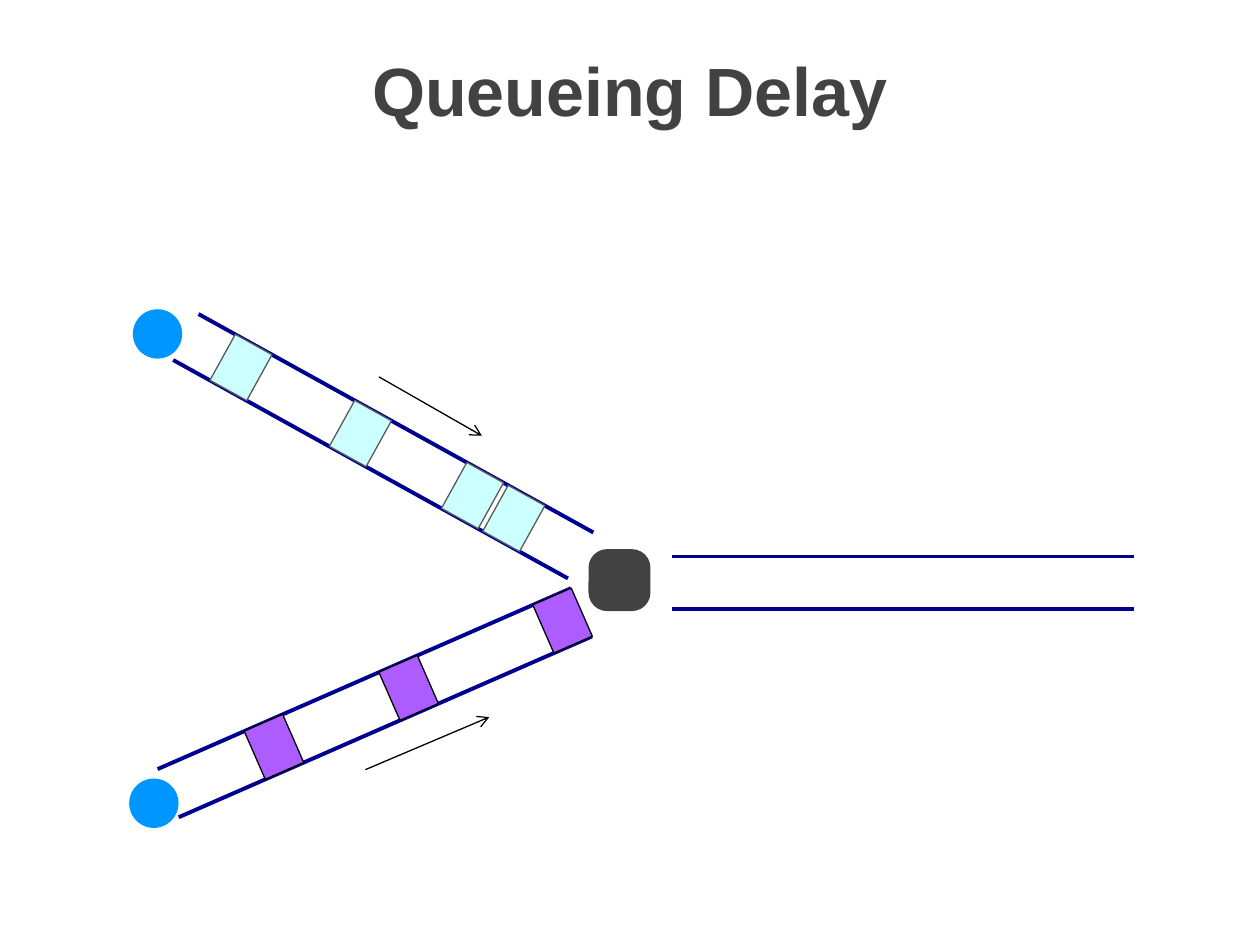
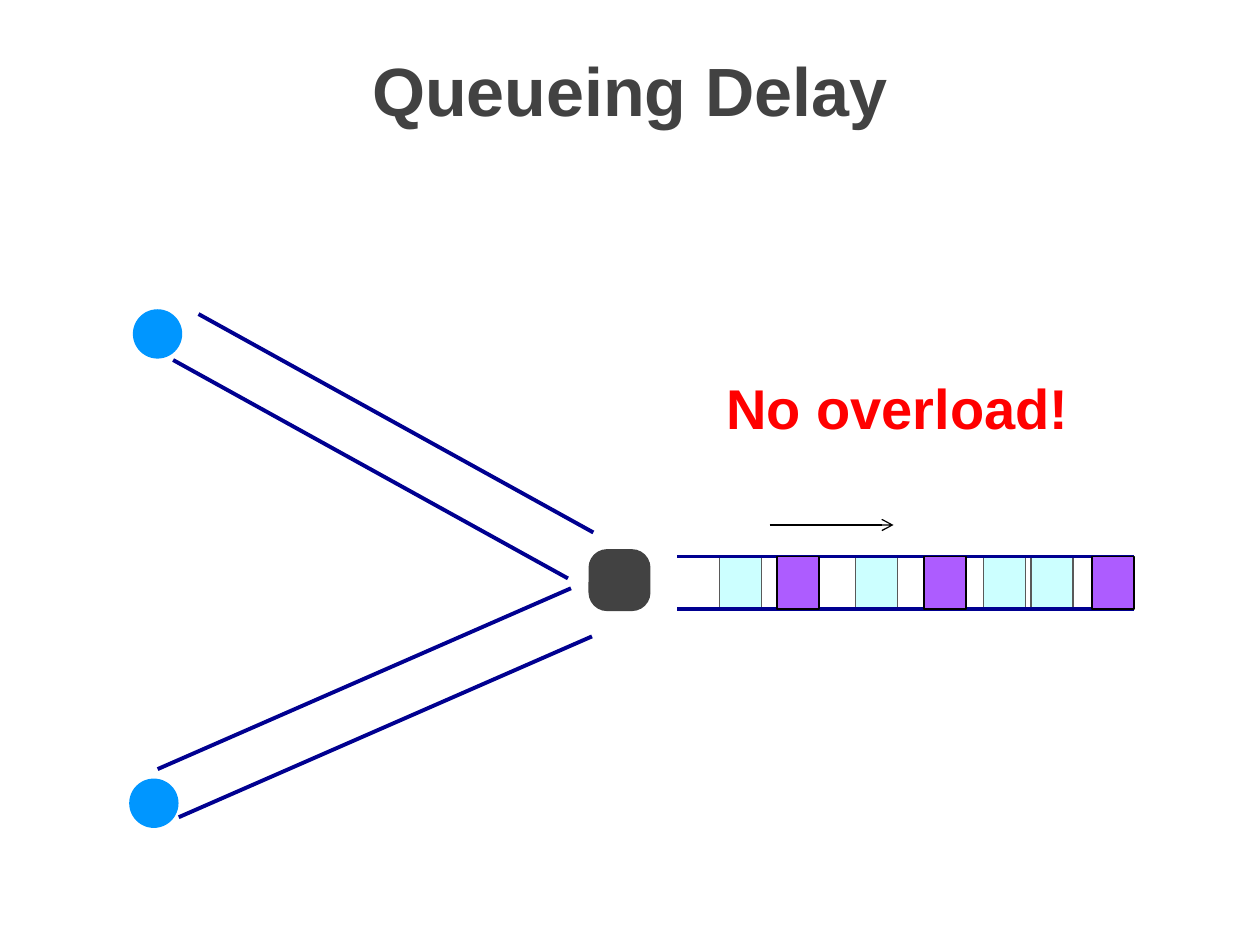
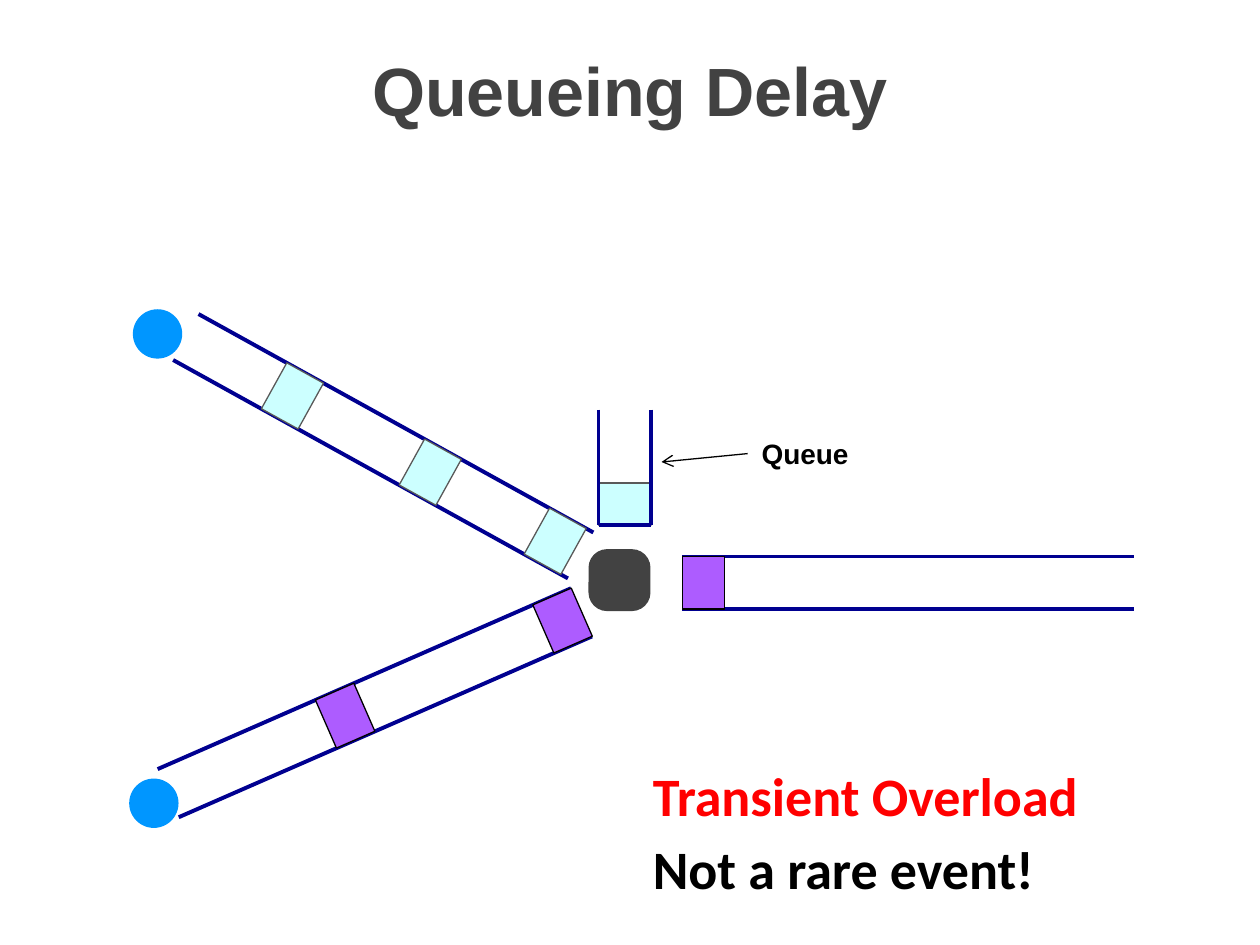
from math import atan2, cos, degrees, hypot, sin

from lxml import etree
from pptx import Presentation
from pptx import util as u
from pptx.dml.color import RGBColor
from pptx.enum import shapes, text
from pptx.oxml.ns import qn

NAVY = RGBColor(0x00, 0x00, 0x90)
BLUE = RGBColor(0x00, 0x96, 0xFF)
AQUA = RGBColor(0xCC, 0xFF, 0xFF)
PLUM = RGBColor(0xAD, 0x5C, 0xFF)
SLATE = RGBColor(0x42, 0x42, 0x42)
GRAY = RGBColor(0x59, 0x59, 0x59)
BLACK = RGBColor(0x00, 0x00, 0x00)
RED = RGBColor(0xFF, 0x00, 0x00)

COLS = 120
UPPER = (17.7, 32.1), (55.3, 52.9)
LOWER = (16.02, 75.54), (55.38, 58.32)
EXIT = (65, 55.5), (108, 55.5)
QUEUE = (59.5, 39), (59.5, 50)
AQUAS = 6, 19, 31.2, 35.7
PLUMS = 11, 25, 41


class Deck:
    """Draw network links and packets on a grid of 120 columns by 90 rows."""

    def __init__(self):
        self.prs = Presentation()
        self.prs.slide_width, self.prs.slide_height = u.Inches(10), u.Inches(7.5)
        self.cell = self.prs.slide_width / COLS

    def size(self, *cells):
        return [round(n * self.cell) for n in cells]

    def begin(self, title):
        self.slide = self.prs.slides.add_slide(self.prs.slide_layouts[5])
        self.items = self.slide.shapes
        box = self.items.title
        box.left, box.top, box.width, box.height = self.size(0, 1.6, COLS, 11.4)
        self.word(box.text_frame, title, 39, SLATE, align=text.PP_ALIGN.CENTER)
        box.text_frame.vertical_anchor = text.MSO_ANCHOR.BOTTOM
        box.text_frame.auto_size = text.MSO_AUTO_SIZE.NONE

    def word(self, frame, words, size, color, font="Arial", align=text.PP_ALIGN.LEFT):
        para = frame.paragraphs[0]
        para.alignment = align
        run = para.add_run()
        run.text = words
        run.font.name, run.font.size, run.font.bold = font, u.Pt(size), True
        run.font.color.rgb = color

    def label(self, spot, words, size, color, wrap=True, **style):
        box = self.items.add_textbox(*self.size(*spot))
        box.text_frame.word_wrap = wrap
        self.word(box.text_frame, words, size, color, **style)

    def line(self, start, end, color=NAVY, width=2.25):
        item = self.items.add_connector(
            shapes.MSO_CONNECTOR.STRAIGHT, *self.size(*start, *end))
        item.line.color.rgb, item.line.width = color, u.Pt(width)
        etree.SubElement(item.element.spPr, qn("a:effectLst"))
        return item

    def arrow(self, start, end):
        item = self.line(start, end, BLACK, 0.75)
        etree.SubElement(item.element.spPr.find(qn("a:ln")), qn("a:tailEnd"), type="arrow")

    def shape(self, kind, mid, wide, high, fill, edge=None):
        x, y = mid
        item = self.items.add_shape(
            kind, *self.size(x - wide / 2, y - high / 2, wide, high))
        item.shadow.inherit = False
        item.fill.solid()
        item.fill.fore_color.rgb = fill
        if edge is None:
            item.line.fill.background()
        else:
            item.line.color.rgb, item.line.width = edge, u.Pt(0.75)
        return item

    def rails(self, lane, shift=0):
        (ax, ay), (bx, by) = lane
        turn = atan2(by - ay, bx - ax)
        for side in (-2.5, 2.5):
            dx, dy = shift - side * sin(turn), side * cos(turn)
            self.line((ax + dx, ay + dy), (bx + dx, by + dy))

    def packs(self, lane, steps, fill, shift=0):
        (ax, ay), (bx, by) = lane
        full = hypot(bx - ax, by - ay)
        edge = GRAY if fill == AQUA else BLACK
        for step in steps:
            part = step / full
            mid = ax + shift + part * (bx - ax), ay + part * (by - ay)
            item = self.shape(shapes.MSO_SHAPE.RECTANGLE, mid, 4, 5, fill, edge)
            item.rotation = degrees(atan2(by - ay, bx - ax))

    def nodes(self):
        for mid in ((15, 31.8), (14.65, 76.5)):
            self.shape(shapes.MSO_SHAPE.OVAL, mid, 4.7, 4.7, BLUE)
        hub = self.shape(
            shapes.MSO_SHAPE.ROUNDED_RECTANGLE, (59, 55.25), 5.9, 5.9, SLATE)
        hub.adjustments[0] = 0.3

    def scene(self, aquas=(), plums=()):
        self.begin("Queueing Delay")
        self.rails(UPPER)
        self.rails(LOWER)
        self.packs(UPPER, aquas, AQUA)
        self.packs(LOWER, plums, PLUM)
        self.nodes()


deck = Deck()

deck.scene(AQUAS, PLUMS)
deck.rails(EXIT, -1)
deck.rails(EXIT)
deck.arrow((36.1, 35.9), (45.9, 41.5))
deck.arrow((34.8, 73.3), (46.6, 68.3))

deck.scene()
deck.rails(EXIT, -0.5)
deck.packs(EXIT, AQUAS, AQUA, -0.5)
deck.rails(EXIT)
deck.packs(EXIT, PLUMS, PLUM)
deck.label((68, 35, 41, 7.7), "No overload!", 32, RED)
deck.arrow((73.3, 50), (85.1, 50))

deck.scene((11.6, 26.6, 40.2), (18.4, 41))
deck.packs(QUEUE, [9], AQUA)
deck.rails(QUEUE)
deck.line((57, 50), (62, 50))
deck.label((71.2, 41, 10.8, 4.4), "Queue", 16, BLACK, False, align=text.PP_ALIGN.RIGHT)
deck.arrow((71.2, 43.2), (63, 44))
deck.rails(EXIT)
deck.packs(EXIT, [2], PLUM)
for row, words, color in ((72, "Transient Overload", RED), (79, "Not a rare event!", BLACK)):
    deck.label((61, row, 56, 7.4), words, 30.9, color, font="Calibri")

deck.prs.save("out.pptx")
